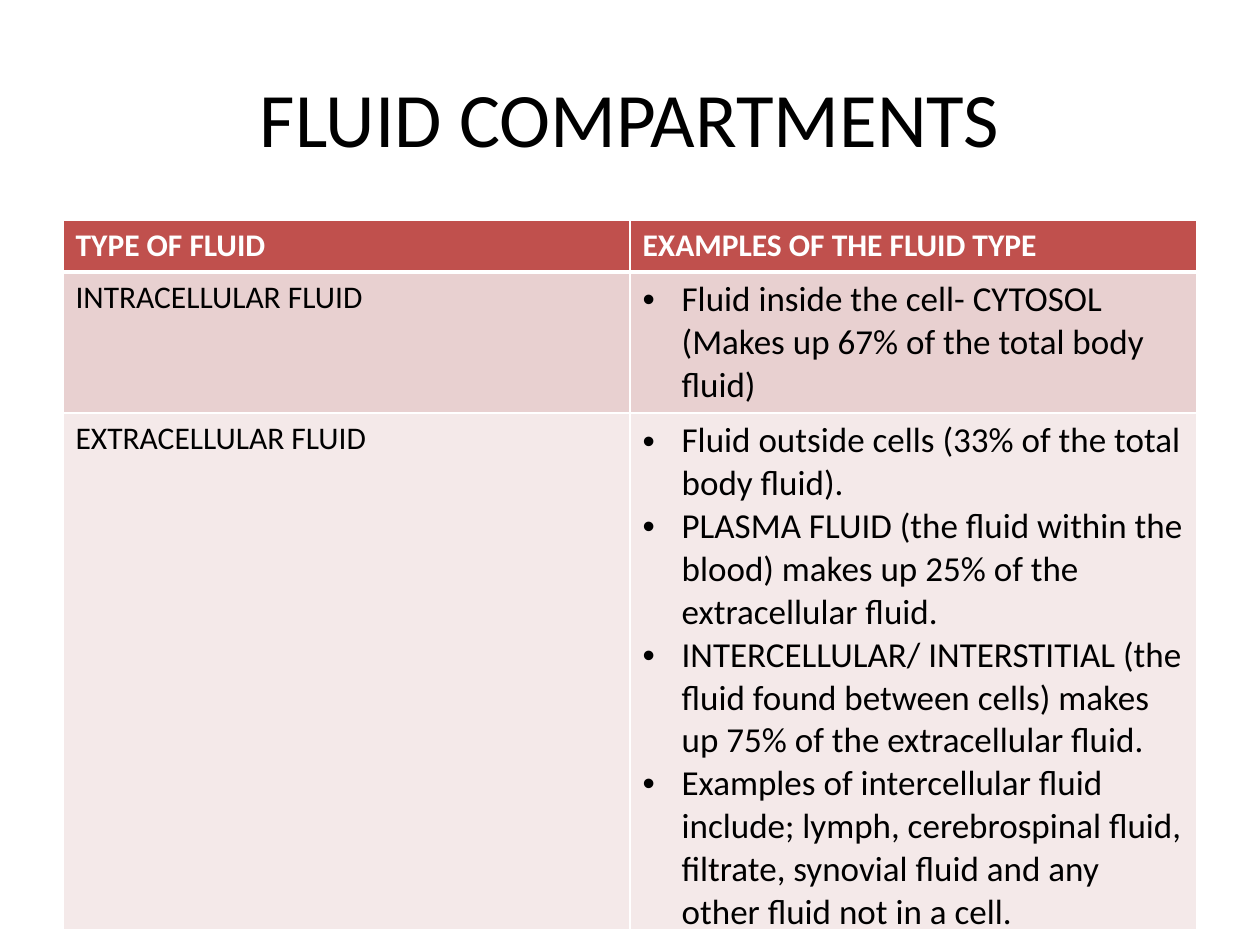
from dataclasses import dataclass

from lxml import etree
from pptx import Presentation
from pptx.dml.color import RGBColor
from pptx.enum.text import MSO_ANCHOR, PP_ALIGN
from pptx.oxml.ns import qn
from pptx.util import Inches, Pt

MIDDLE = MSO_ANCHOR.MIDDLE
CENTER = PP_ALIGN.CENTER
BLANK_LAYOUT = 6

# Content
TITLE = "FLUID COMPARTMENTS"
HEADERS = ("TYPE OF FLUID", "EXAMPLES OF THE FLUID TYPE")
FLUIDS = [
    ("INTRACELLULAR FLUID", [
        "Fluid inside the cell- CYTOSOL (Makes up 67% of the total body fluid)",
    ]),
    ("EXTRACELLULAR FLUID", [
        "Fluid outside cells (33% of the total body fluid).",
        "PLASMA FLUID (the fluid within the blood) makes up 25% of the "
        "extracellular fluid.",
        "INTERCELLULAR/ INTERSTITIAL (the fluid found between cells) makes up "
        "75% of the extracellular fluid.",
        "Examples of intercellular fluid include; lymph, cerebrospinal fluid, "
        "filtrate, synovial fluid and any other fluid not in a cell.",
    ]),
]


@dataclass(frozen=True)
class Theme:
    font: str = "Calibri"
    text: str = "000000"
    light: str = "FFFFFF"
    header_fill: str = "C0504D"
    row_fills: tuple = ("E8D0D0", "F4E9E9")
    title_size: int = 44
    label_size: int = 18
    bullet_size: int = 20
    border: int = 1
    header_border: int = 3


THEME = Theme()

# Layout
SLIDE_WIDTH, SLIDE_HEIGHT = Inches(10), Inches(7.5)
MARGIN = int(SLIDE_WIDTH * 0.05)
CONTENT_WIDTH = SLIDE_WIDTH - 2 * MARGIN
TITLE_TOP, TITLE_HEIGHT = int(SLIDE_HEIGHT * 0.04), Inches(1.25)
TABLE_TOP = Inches(1.75)
ROW_HEIGHTS = [Inches(height) for height in (0.41, 1.12, 4.08)]
BULLET_INDENT = Inches(0.31)


def style_paragraph(paragraph, size, color, bold=False):
    font = paragraph.font
    font.name, font.size, font.bold = THEME.font, Pt(size), bold
    font.color.rgb = RGBColor.from_string(color)


def add_bullet(paragraph):
    properties = paragraph._p.get_or_add_pPr()
    properties.set("marL", str(BULLET_INDENT))
    properties.set("indent", str(-BULLET_INDENT))
    etree.SubElement(properties, qn("a:buFont"), typeface="Arial")
    etree.SubElement(properties, qn("a:buChar"), char="•")


def set_borders(cell, top, bottom):
    properties = cell._tc.get_or_add_tcPr()
    widths = {"L": THEME.border, "R": THEME.border, "T": top, "B": bottom}
    for position, (side, width) in enumerate(widths.items()):
        line = etree.Element(qn(f"a:ln{side}"), w=str(Pt(width)))
        fill = etree.SubElement(line, qn("a:solidFill"))
        etree.SubElement(fill, qn("a:srgbClr"), val=THEME.light)
        properties.insert(position, line)


def fill_cell(cell, lines, fill, size, color, bold=False, bullets=False):
    cell.fill.solid()
    cell.fill.fore_color.rgb = RGBColor.from_string(fill)
    cell.text_frame.text = "\n".join(lines)
    for paragraph in cell.text_frame.paragraphs:
        if bullets:
            add_bullet(paragraph)
        style_paragraph(paragraph, size, color, bold)


def add_title(slide):
    box = slide.shapes.add_textbox(MARGIN, TITLE_TOP, CONTENT_WIDTH, TITLE_HEIGHT)
    frame = box.text_frame
    frame.word_wrap = True
    frame.vertical_anchor = MIDDLE
    frame.text = TITLE
    frame.paragraphs[0].alignment = CENTER
    style_paragraph(frame.paragraphs[0], THEME.title_size, THEME.text)


def add_fluid_table(slide):
    table = slide.shapes.add_table(
        len(ROW_HEIGHTS), len(HEADERS), MARGIN, TABLE_TOP,
        CONTENT_WIDTH, sum(ROW_HEIGHTS)).table
    for row, height in zip(table.rows, ROW_HEIGHTS):
        row.height = height

    # Header row
    for column, header in enumerate(HEADERS):
        fill_cell(table.cell(0, column), [header], THEME.header_fill,
                  THEME.label_size, THEME.light, bold=True)

    # One row per fluid type
    for row, (name, examples) in enumerate(FLUIDS, start=1):
        fill = THEME.row_fills[row - 1]
        fill_cell(table.cell(row, 0), [name], fill, THEME.label_size, THEME.text)
        fill_cell(table.cell(row, 1), examples, fill, THEME.bullet_size,
                  THEME.text, bullets=True)

    # Borders, thicker under the header
    for row in range(len(ROW_HEIGHTS)):
        top = THEME.header_border if row == 1 else THEME.border
        bottom = THEME.header_border if row == 0 else THEME.border
        for column in range(len(HEADERS)):
            set_borders(table.cell(row, column), top, bottom)


def main():
    presentation = Presentation()
    presentation.slide_width, presentation.slide_height = SLIDE_WIDTH, SLIDE_HEIGHT
    slide = presentation.slides.add_slide(presentation.slide_layouts[BLANK_LAYOUT])
    add_title(slide)
    add_fluid_table(slide)
    presentation.save("out.pptx")


if __name__ == "__main__":
    main()
